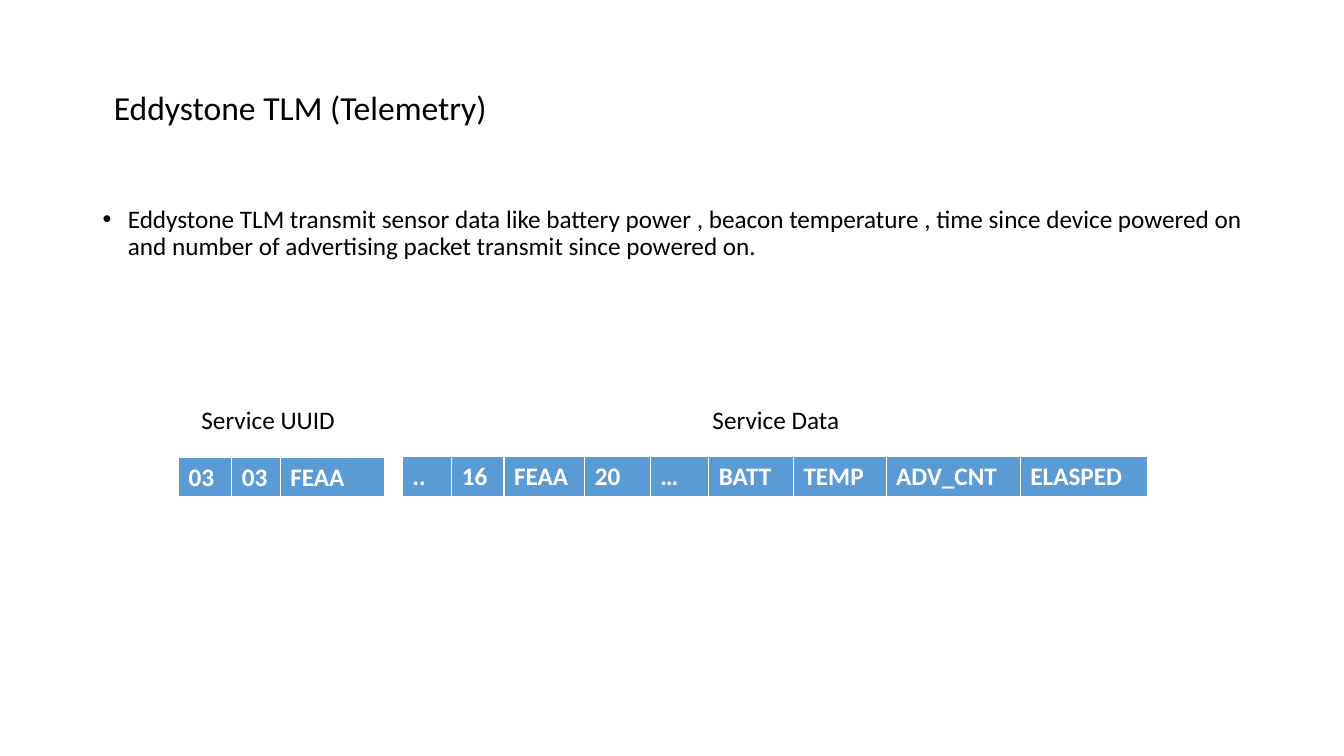
from dataclasses import dataclass

from lxml import etree
from pptx import Presentation
from pptx import util as u
from pptx.dml.color import RGBColor
from pptx.enum import text as t
from pptx.oxml import ns


@dataclass(frozen=True)
class Theme:
    font: str = "Calibri"
    ink: str = "000000"
    white: str = "FFFFFF"
    blue: str = "5B9BD5"
    title_size: int = 24
    text_size: int = 18


theme = Theme()


def write(frame, text, size=theme.text_size, color=theme.ink, bold=False,
          align=t.PP_ALIGN.LEFT, anchor=t.MSO_ANCHOR.TOP, spacing=1.0,
          before=0, bullet=False):
    frame.word_wrap = True
    frame.vertical_anchor = anchor
    para = frame.paragraphs[0]
    para.alignment = align
    para.line_spacing = spacing
    para.space_before = u.Pt(before)
    if bullet:
        properties = para._p.get_or_add_pPr()
        properties.set("marL", str(u.Inches(0.25)))
        properties.set("indent", str(u.Inches(-0.25)))
        etree.SubElement(properties, ns.qn("a:buFont"), typeface="Arial")
        etree.SubElement(properties, ns.qn("a:buChar"), char="•")
    span = para.add_run()
    span.text = text
    span.font.name = theme.font
    span.font.size = u.Pt(size)
    span.font.bold = bold
    span.font.color.rgb = RGBColor.from_string(color)


def add_border(cell, side, width):
    line = etree.SubElement(cell._tc.get_or_add_tcPr(), ns.qn(f"a:ln{side}"),
                            w=str(u.Pt(width)))
    fill = etree.SubElement(line, ns.qn("a:solidFill"))
    etree.SubElement(fill, ns.qn("a:srgbClr"), val=theme.white)


deck = Presentation()
deck.slide_width = u.Inches(13.33)
deck.slide_height = u.Inches(7.5)
page = deck.slides.add_slide(deck.slide_layouts[6])

texts = [
    ("Eddystone TLM (Telemetry)", (1.03, 0.36, 3.95, 1.45),
     dict(size=theme.title_size, anchor=t.MSO_ANCHOR.MIDDLE, spacing=0.9)),
    ("Eddystone TLM transmit sensor data like battery power , beacon temperature , "
     "time since device powered on and number of advertising packet transmit since powered on.",
     (0.92, 2, 11.5, 0.89), dict(spacing=0.9, before=10, bullet=True)),
    ("Service UUID", (1.9, 3.96, 1.77, 0.4), {}),
    ("Service Data", (4.42, 3.96, 6.55, 0.4), dict(align=t.PP_ALIGN.CENTER)),
]
for words, place, style in texts:
    box = page.shapes.add_textbox(*map(u.Inches, place))
    write(box.text_frame, words, **style)

packets = [
    (1.77, 4.54, 0.4, [("03", 0.53), ("03", 0.48), ("FEAA", 1.03)]),
    (3.99, 4.53, 0.41, [("..", 0.49), ("16", 0.52), ("FEAA", 0.8), ("20", 0.65),
                        ("…", 0.58), ("BATT", 0.84), ("TEMP", 0.92),
                        ("ADV_CNT", 1.33), ("ELASPED", 1.26)]),
]
for left, top, height, fields in packets:
    width = sum(field_width for _, field_width in fields)
    table = page.shapes.add_table(1, len(fields), *map(u.Inches, (left, top, width, height))).table
    for column, (label, field_width) in enumerate(fields):
        table.columns[column].width = u.Inches(field_width)
        cell = table.cell(0, column)
        for side, thickness in (("L", 1), ("R", 1), ("T", 1), ("B", 3)):
            add_border(cell, side, thickness)
        cell.fill.solid()
        cell.fill.fore_color.rgb = RGBColor.from_string(theme.blue)
        write(cell.text_frame, label, color=theme.white, bold=True)

deck.save("out.pptx")
